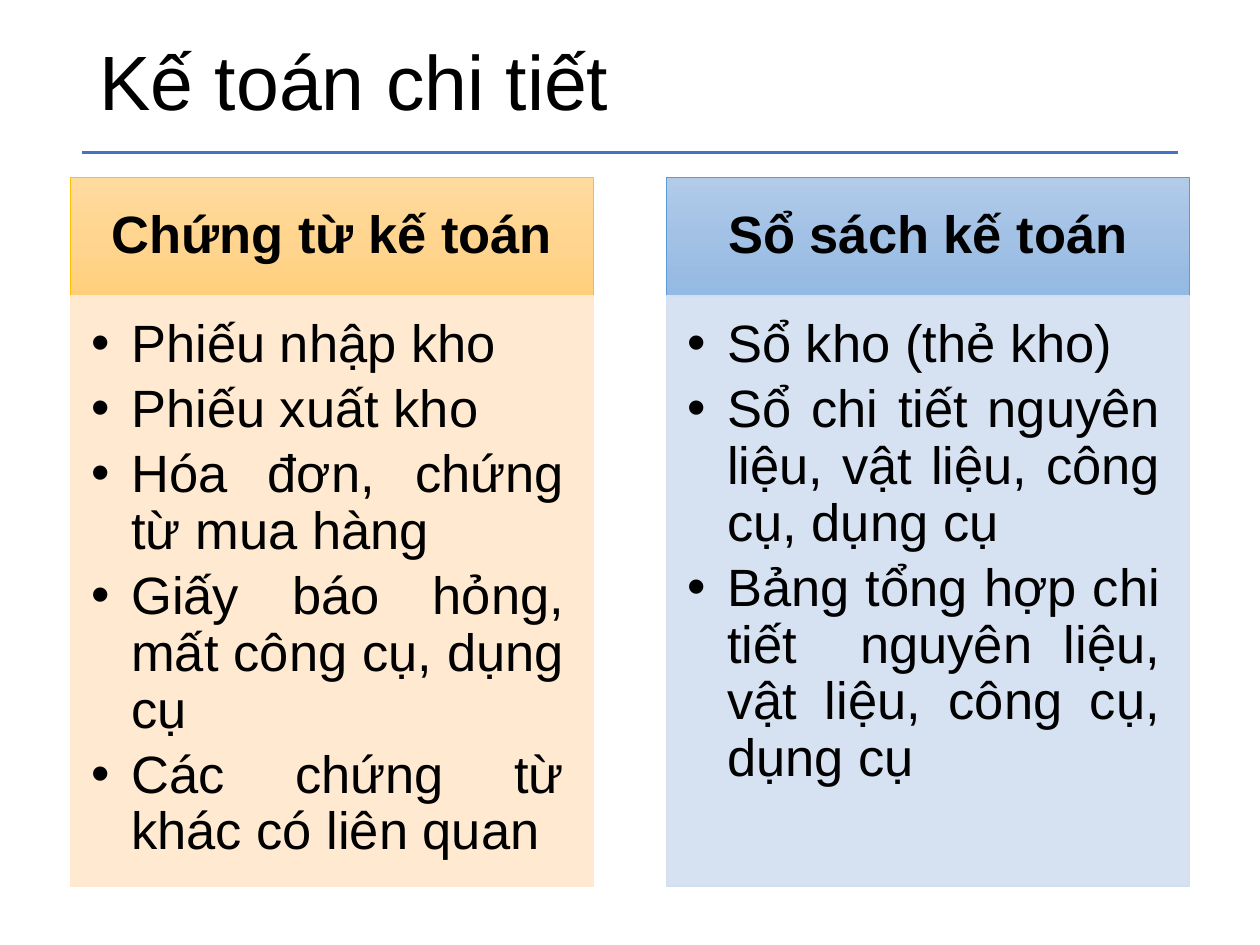
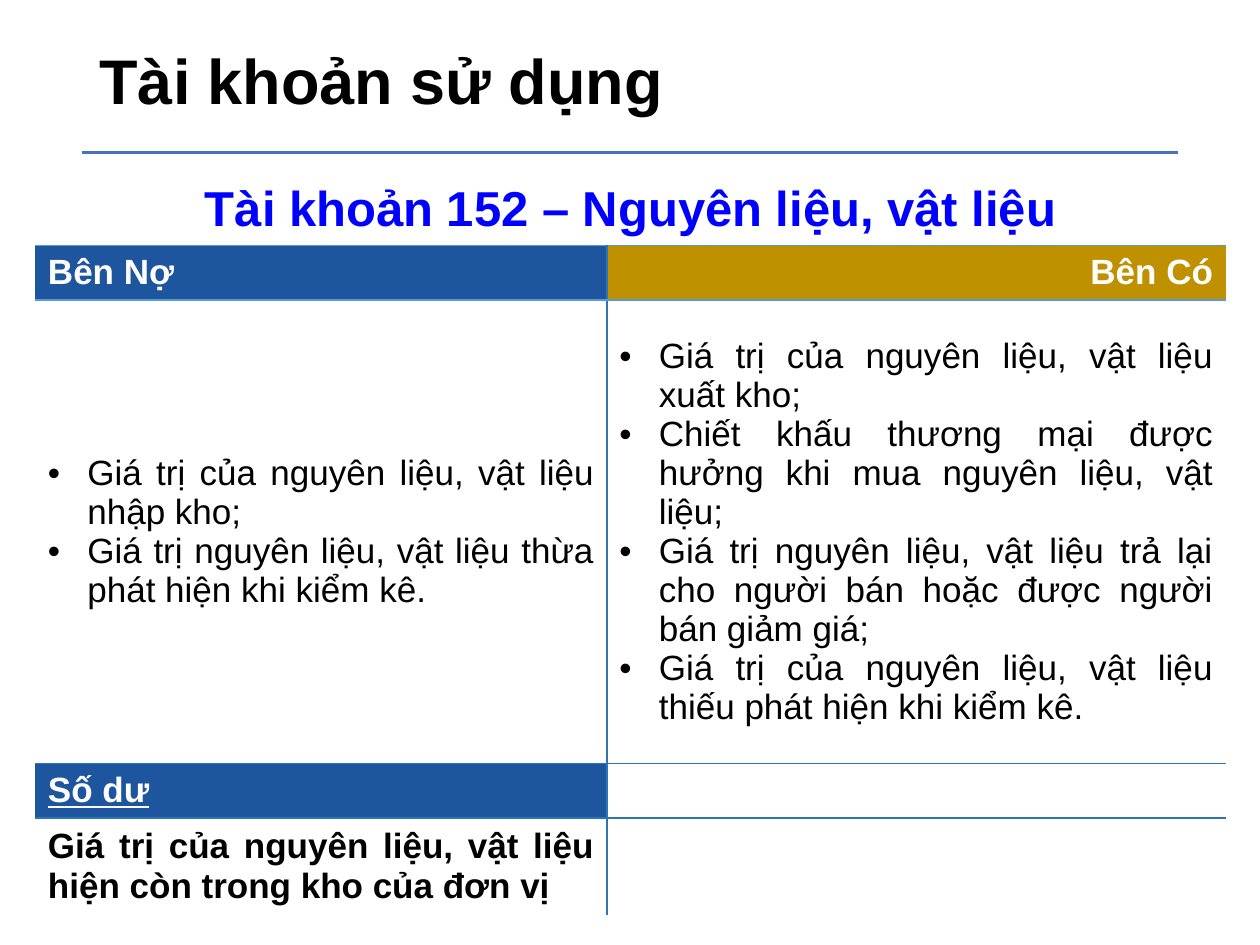
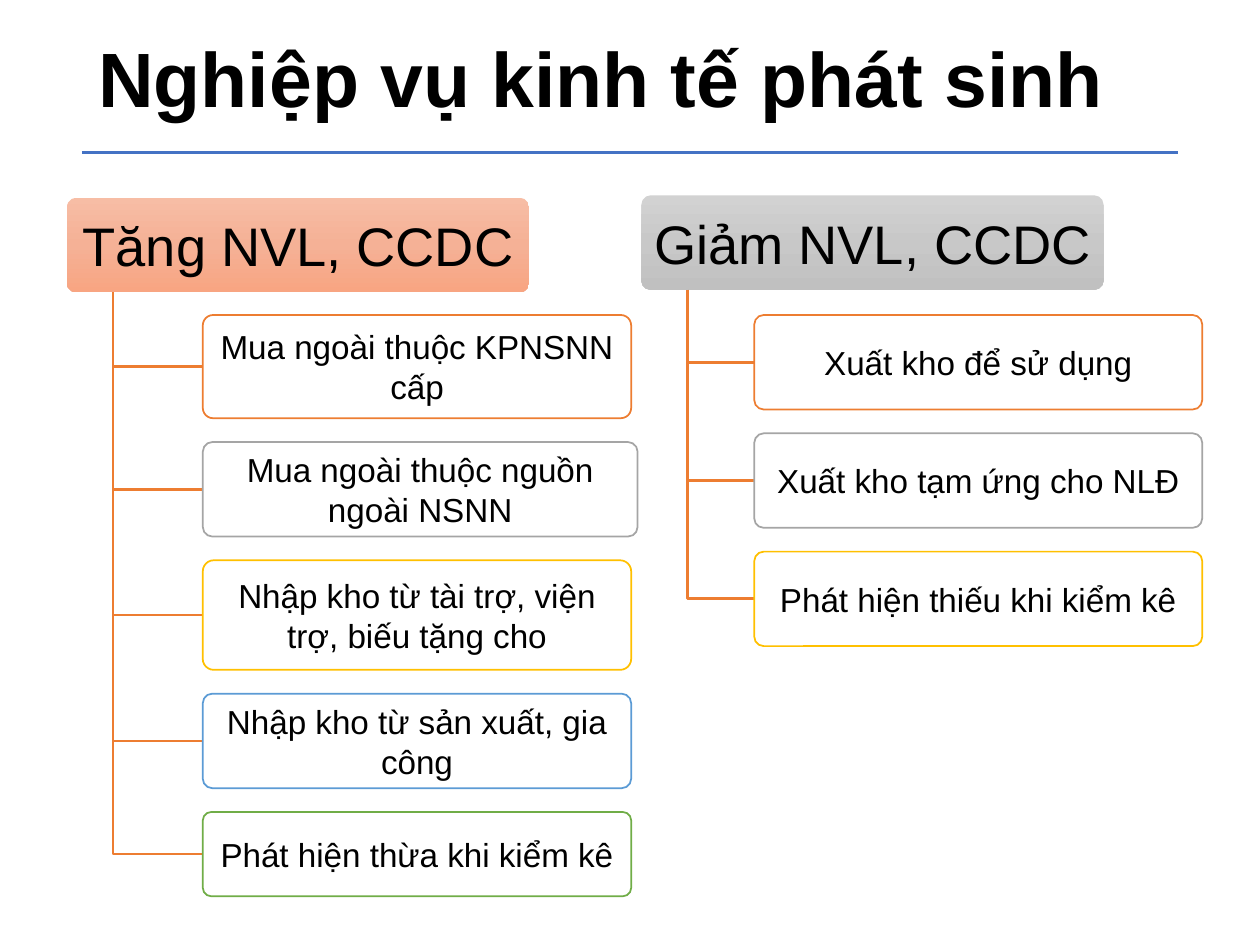
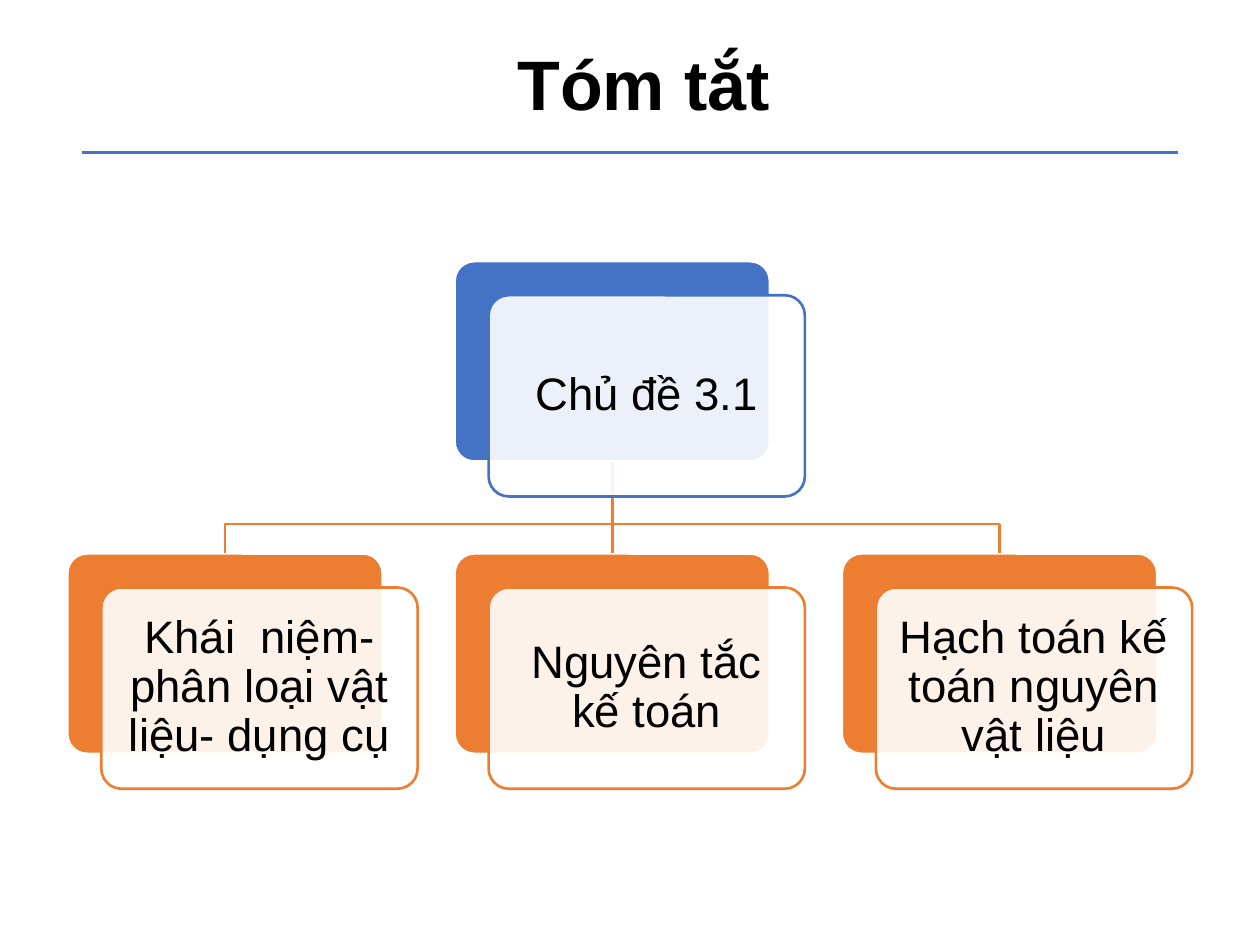
from copy import deepcopy
from dataclasses import dataclass

from lxml import etree
from pptx import Presentation
from pptx.dml.color import RGBColor
from pptx.enum.shapes import MSO_CONNECTOR as Link, MSO_SHAPE as Form
from pptx.enum.text import MSO_ANCHOR as Anchor, MSO_AUTO_SIZE as Fit, PP_ALIGN as Align
from pptx.oxml.ns import qn
from pptx.util import Pt


@dataclass(frozen=True)
class Theme:
    font: str = "Arial"
    # Colours
    black: str = "000000"
    white: str = "FFFFFF"
    blue: str = "4472C4"
    sky: str = "5B9BD5"
    orange: str = "ED7D31"
    gray: str = "A5A5A5"
    gold: str = "FFC000"
    green: str = "70AD47"
    caption: str = "0000FF"
    debit: str = "1D559F"
    credit: str = "BF9000"
    grid: str = "2E75B6"
    gold_tint: str = "FFE8CC"
    sky_tint: str = "D2DFF0"
    gold_fade: tuple = ("FFDB9E", "FFD590", "FFD07C")
    sky_fade: tuple = ("B1CBE9", "A3C1E5", "93B9E4")
    orange_fade: tuple = ("F7BDA5", "F5B196", "F8A582")
    gray_fade: tuple = ("D2D2D2", "C8C8C8", "C0C0C0")
    # Type sizes
    title: int = 44
    title_mid: int = 40
    title_small: int = 36
    branch: int = 31
    panel: int = 30
    table_title: int = 28
    node: int = 26
    cell: int = 20
    leaf: int = 19


THEME = Theme()
NO_GRID_STYLE = "{2D5ABB26-0587-4C30-8999-92F81FD0307C}"


def rgb(value):
    return RGBColor.from_string(value)


def points(*values):
    return [Pt(value) for value in values]


class Deck:
    def __init__(self, theme):
        self.theme = theme
        self.deck = Presentation()
        self.deck.slide_width, self.deck.slide_height = points(720, 540)
        self.layout = self.deck.slide_layouts[5]
        self.page = None

    def title_page(self, text, place, size, bold=True, align=Align.LEFT):
        first = self.page is None
        self.page = self.deck.slides.add_slide(self.layout)
        box = self.page.shapes.title
        box.left, box.top, box.width, box.height = points(*place)
        self.put_text(box.text_frame, [text], size, bold=bold, align=align, spacing=0.9)
        if first:
            # The rule under the title belongs to the shared layout
            rule = self.connector(self.theme.blue, (46.8, 87.1), (673.2, 87.1))
            self.layout.shapes._spTree.append(rule._element)

    def put_text(self, frame, texts, size, color=None, bold=False, underline=None,
                 align=Align.CENTER, anchor=Anchor.MIDDLE, insets=None,
                 spacing=None, after=None, bullet=False):
        """Fill a text frame or a table cell's frame with paragraphs."""
        settings = {"word_wrap": True, "auto_size": Fit.NONE, "vertical_anchor": anchor}
        if insets:
            sides = ("margin_left", "margin_top", "margin_right", "margin_bottom")
            settings.update(zip(sides, points(*insets)))
        for name, value in settings.items():
            setattr(frame, name, value)
        for index, text in enumerate(texts):
            para = frame.paragraphs[0] if index == 0 else frame.add_paragraph()
            if bullet:
                self.add_bullet(para)
            layout = {"alignment": align, "line_spacing": spacing,
                      "space_after": after and Pt(after)}
            for name, value in layout.items():
                if value is not None:
                    setattr(para, name, value)
            span = para.add_run()
            span.text = text
            look = {"name": self.theme.font, "size": Pt(size), "bold": bold,
                    "underline": underline}
            for name, value in look.items():
                setattr(span.font, name, value)
            span.font.color.rgb = rgb(color or self.theme.black)

    def add_bullet(self, para):
        props = para._p.get_or_add_pPr()
        props.set("marL", str(Pt(22.5)))
        props.set("indent", str(-Pt(22.5)))
        etree.SubElement(props, qn("a:buFont"), typeface=self.theme.font)
        etree.SubElement(props, qn("a:buChar"), char="•")

    def shape(self, form, place, fill, line=None, weight=1, alpha=None):
        """Add a preset shape; a tuple of colours makes a downward gradient."""
        box = self.page.shapes.add_shape(form, *points(*place))
        box.shadow.inherit = False
        if form == Form.ROUNDED_RECTANGLE:
            box.adjustments[0] = 0.1
        props = box._element.spPr
        if isinstance(fill, tuple):
            box.fill.gradient()
            box.fill.gradient_angle = 270
            stops = props.find(".//" + qn("a:gsLst"))
            stops.insert(1, deepcopy(stops[0]))
            for stop, color, position in zip(box.fill.gradient_stops, fill, (0, 0.5, 1)):
                stop.color.rgb = rgb(color)
                stop.position = position
        else:
            box.fill.solid()
            box.fill.fore_color.rgb = rgb(fill)
            if alpha:
                color = props.find(qn("a:solidFill"))[0]
                etree.SubElement(color, qn("a:alpha"), val=str(alpha * 1000))
        if line:
            box.line.color.rgb = rgb(line)
            box.line.width = Pt(weight)
        else:
            box.line.fill.background()
        return box

    def connector(self, color, start=(0, 0), end=(0, 0), joins=None):
        line = self.page.shapes.add_connector(Link.STRAIGHT, *points(*start, *end))
        if joins:
            upper, lower = joins
            line.begin_connect(upper, 2)
            line.end_connect(lower, 0)
        line.line.color.rgb = rgb(color)
        line.line.width = Pt(1.5)
        etree.SubElement(line._element.spPr, qn("a:effectLst"))
        return line

    def elbow(self, *corners):
        start, *others = [tuple(points(*corner)) for corner in corners]
        builder = self.page.shapes.build_freeform(*start)
        builder.add_line_segments(others, close=False)
        bend = builder.convert_to_shape()
        bend.shadow.inherit = False
        bend.fill.background()
        bend.line.color.rgb = rgb(self.theme.orange)
        bend.line.width = Pt(1.5)

    def table(self, place, widths, heights):
        frame = self.page.shapes.add_table(
            len(heights), len(widths), *points(*place, sum(widths), sum(heights)))
        table = frame.table
        table.first_row = table.horz_banding = False
        table._tbl.tblPr.find(qn("a:tableStyleId")).text = NO_GRID_STYLE
        for column, width in zip(table.columns, widths):
            column.width = Pt(width)
        for row, height in zip(table.rows, heights):
            row.height = Pt(height)
        return table

    def cell(self, cell, texts=(), fill=None, borders=None, **style):
        """Format one cell; borders map L, R, T, B (in that order) to colours."""
        props = cell._tc.get_or_add_tcPr()
        for side, color in (borders or {}).items():
            edge = etree.SubElement(props, qn("a:ln" + side), w=str(Pt(1)))
            paint = etree.SubElement(edge, qn("a:solidFill"))
            etree.SubElement(paint, qn("a:srgbClr"), val=color)
        if fill:
            cell.fill.solid()
            cell.fill.fore_color.rgb = rgb(fill)
        else:
            cell.fill.background()
        if texts:
            self.put_text(cell.text_frame, texts, **style)
        cell.vertical_anchor = Anchor.MIDDLE

    def list_panel(self, left, heading, items, fade, line, tint):
        """A gradient heading above a bulleted list."""
        head = self.shape(Form.RECTANGLE, (left, 101.5, 298.8, 67.7), fade, line)
        self.put_text(head.text_frame, [heading], self.theme.panel, bold=True,
                      insets=(16.6, 9.4, 16.6, 9.4), spacing=0.9)
        body = self.shape(Form.RECTANGLE, (left, 169.2, 298.8, 337), tint, tint, alpha=90)
        self.put_text(body.text_frame, items, self.theme.panel, align=Align.JUSTIFY,
                      anchor=Anchor.TOP, insets=(12.2, 12.2, 16.6, 18.7),
                      spacing=0.9, after=4.8, bullet=True)

    def branch(self, left, top, heading, fade, leaf_left, leaves):
        """A heading with leaves hanging from a trunk at its lower left."""
        width, height, gap = 264.2, 54, 13.6
        head = self.shape(Form.ROUNDED_RECTANGLE, (left, top, width, height), fade)
        self.put_text(head.text_frame, [heading], self.theme.branch,
                      insets=(4.3, 2.9, 4.3, 2.9))
        trunk, base, leaf_top = left + width / 10, top + height, 180
        for text, color, leaf_width, leaf_height in leaves:
            middle = leaf_top + leaf_height / 2
            self.elbow((trunk, base), (trunk, middle), (leaf_left, middle))
            leaf = self.shape(Form.ROUNDED_RECTANGLE,
                              (leaf_left, leaf_top, leaf_width, leaf_height),
                              self.theme.white, color, alpha=90)
            self.put_text(leaf.text_frame, [text], self.theme.leaf,
                          insets=(2.9, 2.2, 2.9, 2.2))
            leaf_top += leaf_height + gap


def detail_accounting(deck):
    theme = deck.theme
    deck.title_page("Kế toán chi tiết", (49.7, 10.8, 620.6, 76.3), theme.title, bold=False)
    deck.list_panel(40.3, "Chứng từ kế toán", [
        "Phiếu nhập kho",
        "Phiếu xuất kho",
        "Hóa đơn, chứng từ mua hàng",
        "Giấy báo hỏng, mất công cụ, dụng cụ",
        "Các chứng từ khác có liên quan",
    ], theme.gold_fade, theme.gold, theme.gold_tint)
    deck.list_panel(380.9, "Sổ sách kế toán", [
        "Sổ kho (thẻ kho)",
        "Sổ chi tiết nguyên liệu, vật liệu, công cụ, dụng cụ",
        "Bảng tổng hợp chi tiết  nguyên liệu, vật liệu, công cụ, dụng cụ",
    ], theme.sky_fade, theme.sky, theme.sky_tint)


def accounts_used(deck):
    theme = deck.theme
    deck.title_page("Tài khoản sử dụng", (49.7, 18, 620.6, 59.8), theme.title_small)
    table = deck.table((20.2, 99.4), (326.6, 353.6), (41, 31, 265, 31, 55.4))

    # Account name across both columns
    table.cell(0, 0).merge(table.cell(0, 1))
    for column in range(2):
        deck.cell(table.cell(0, column), borders={"B": theme.sky})
    deck.put_text(table.cell(0, 0).text_frame, ["Tài khoản 152 – Nguyên liệu, vật liệu"],
                  theme.table_title, theme.caption, bold=True)
    table.cell(0, 0).vertical_anchor = Anchor.MIDDLE

    # Debit column, then credit column
    label = {"size": theme.cell, "color": theme.white, "bold": True}
    entries = {"size": theme.cell, "align": Align.JUSTIFY, "bullet": True}
    debit = [
        dict(label, texts=["Bên Nợ"], fill=theme.debit, align=Align.LEFT),
        dict(entries, texts=[
            "Giá trị của nguyên liệu, vật liệu nhập kho;",
            "Giá trị nguyên liệu, vật liệu thừa phát hiện khi kiểm kê.",
        ]),
        dict(label, texts=["Số dư"], fill=theme.debit, align=Align.LEFT, underline=True),
        dict(texts=["Giá trị của nguyên liệu, vật liệu hiện còn trong kho của đơn vị"],
             size=theme.cell, bold=True, align=Align.JUSTIFY),
    ]
    credit = [
        dict(label, texts=["Bên Có"], fill=theme.credit, align=Align.RIGHT),
        dict(entries, texts=[
            "Giá trị của nguyên liệu, vật liệu xuất kho;",
            "Chiết khấu thương mại được hưởng khi mua nguyên liệu, vật liệu;",
            "Giá trị nguyên liệu, vật liệu trả lại cho người bán hoặc được người bán giảm giá;",
            "Giá trị của nguyên liệu, vật liệu thiếu phát hiện khi kiểm kê.",
        ]),
        {},
        {},
    ]
    row_edges = {1: {"T": theme.sky}, 2: {"B": theme.grid}, 3: {"T": theme.grid}}
    for column, (inner, contents) in enumerate((("R", debit), ("L", credit))):
        for row, content in enumerate(contents, start=1):
            borders = {inner: theme.grid, **row_edges.get(row, {})}
            deck.cell(table.cell(row, column), borders=borders, **content)


def transactions(deck):
    theme = deck.theme
    deck.title_page("Nghiệp vụ kinh tế phát sinh", (49, 7.9, 620.6, 78.5), theme.title)
    deck.branch(38.2, 113, "Tăng NVL, CCDC", theme.orange_fade, 115.9, [
        ("Mua ngoài thuộc KPNSNN cấp", theme.orange, 244.8, 59),
        ("Mua ngoài thuộc nguồn ngoài NSNN", theme.gray, 248.4, 54),
        ("Nhập kho từ tài trợ, viện trợ, biếu tặng cho", theme.gold, 244.8, 62.6),
        ("Nhập kho từ sản xuất, gia công", theme.sky, 244.8, 54),
        ("Phát hiện thừa khi kiểm kê", theme.green, 244.8, 48.2),
    ])
    deck.branch(366.5, 111.6, "Giảm NVL, CCDC", theme.gray_fade, 431, [
        ("Xuất kho để sử dụng", theme.orange, 256, 54),
        ("Xuất kho tạm ứng cho NLĐ", theme.gray, 256, 54),
        ("Phát hiện thiếu khi kiểm kê", theme.gold, 256, 54),
    ])


def summary(deck):
    theme = deck.theme
    deck.title_page("Tóm tắt", (65.5, 15.1, 604.8, 69.8), theme.title_mid,
                    align=Align.CENTER)
    width, height, step, shift = 180.7, 115, 221.3, 19.7
    left, root_top, child_top, bar = 38.2, 149, 316, 299.5
    nodes = [("Chủ đề 3.1", left + step, root_top, theme.blue)]
    topics = ["Khái  niệm-phân loại vật liệu- dụng cụ", "Nguyên tắc kế toán",
              "Hạch toán kế toán nguyên vật liệu"]
    nodes += [(text, left + index * step, child_top, theme.orange)
              for index, text in enumerate(topics)]

    # Coloured cards behind
    root, *children = [
        deck.shape(Form.ROUNDED_RECTANGLE, (x, y, width, height), color, theme.white, 2)
        for _, x, y, color in nodes]

    # Links from the root card to each child card
    center = left + step + width / 2
    for index, child in enumerate(children):
        end = left + index * step + width / 2
        if index == 1:
            deck.connector(theme.orange, joins=(root, child))
        else:
            deck.elbow((center, root_top + height), (center, bar), (end, bar),
                       (end, child_top))

    # Text cards in front
    for text, x, y, color in nodes:
        card = deck.shape(Form.ROUNDED_RECTANGLE, (x + shift, y + shift, width, height),
                          theme.white, color, 1.5, alpha=90)
        deck.put_text(card.text_frame, [text], theme.node, insets=(7.9,) * 4, spacing=0.9)


def main():
    deck = Deck(THEME)
    for build in (detail_accounting, accounts_used, transactions, summary):
        build(deck)
    deck.deck.save("out.pptx")


if __name__ == "__main__":
    main()
